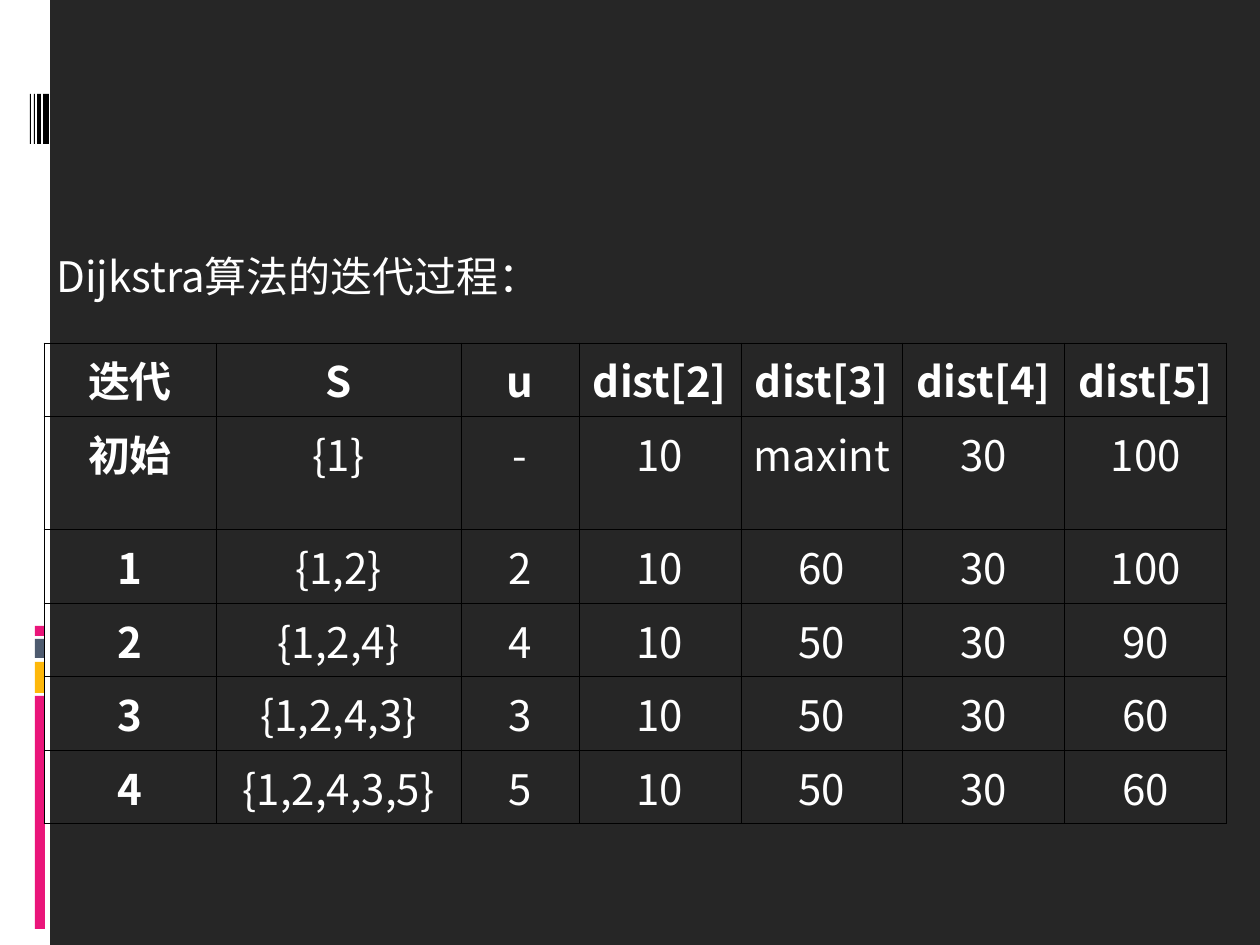
from typing import NamedTuple

from lxml.etree import SubElement
from pptx import Presentation
from pptx.dml.color import RGBColor
from pptx.enum.shapes import MSO_SHAPE as Shape
from pptx.enum.text import MSO_AUTO_SIZE as AutoSize, PP_ALIGN as Align
from pptx.oxml import parse_xml
from pptx.oxml.ns import nsdecls, qn
from pptx.util import Emu, Pt

FONT = "Noto Sans CJK SC"
BLACK = RGBColor(0x00, 0x00, 0x00)
WHITE = RGBColor(0xFF, 0xFF, 0xFF)
DARK = RGBColor(0x26, 0x26, 0x26)
PINK = RGBColor(0xEA, 0x15, 0x7A)
AMBER = RGBColor(0xFE, 0xB8, 0x0A)
SLATE = RGBColor(0x4E, 0x5B, 0x6F)


class Bar(NamedTuple):
    x: int
    y: int
    w: int
    h: int
    color: RGBColor


BARS = [
    Bar(0, 0, 50, 945, WHITE),
    # Coloured stack
    Bar(35, 696, 10, 233, PINK),
    Bar(35, 662, 10, 31, AMBER),
    Bar(35, 639, 10, 19, SLATE),
    Bar(35, 626, 10, 10, PINK),
    # Barcode
    *(Bar(x, 94, w, 50, BLACK) for x, w in [(43, 6), (37, 4), (34, 1), (30, 1)]),
]

COL_WIDTHS = [172, 245, 118] + [162] * 4
ROW_HEIGHTS = [68, 113] + [72] * 4
ROWS = [
    ["迭代", "S", "u", "dist[2]", "dist[3]", "dist[4]", "dist[5]"],
    ["初始", "{1}", "-", "10", "maxint", "30", "100"],
    ["1", "{1,2}", "2", "10", "60", "30", "100"],
    ["2", "{1,2,4}", "4", "10", "50", "30", "90"],
    ["3", "{1,2,4,3}", "3", "10", "50", "30", "60"],
    ["4", "{1,2,4,3,5}", "5", "10", "50", "30", "60"],
]


def px(n: int) -> Emu:
    return Emu(round(n * 914400 / 126))


def write(p, text: str, align: Align, bold: bool = False) -> None:
    p.text = text
    p.alignment = align
    font = p.font
    font.name, font.size, font.bold = FONT, Pt(24), bold
    font.color.rgb = WHITE
    # East Asian typeface
    SubElement(p._p.pPr.find(qn("a:defRPr")), qn("a:ea"), typeface=FONT)


def add_bar(shapes, bar: Bar) -> None:
    s = shapes.add_shape(Shape.RECTANGLE, px(bar.x), px(bar.y), px(bar.w), px(bar.h))
    s.shadow.inherit = False
    s.fill.solid()
    s.fill.fore_color.rgb = bar.color
    s.line.fill.background()


def add_borders(cell) -> None:
    tc_pr = cell._tc.get_or_add_tcPr()
    for i, side in enumerate(("lnL", "lnR", "lnT", "lnB")):
        tc_pr.insert(i, parse_xml(
            f'<a:{side} {nsdecls("a")} w="{Pt(0.45)}"><a:solidFill>'
            f'<a:srgbClr val="{BLACK}"/></a:solidFill></a:{side}>'))


def add_iterations(shapes, x: int, y: int) -> None:
    table = shapes.add_table(len(ROWS), len(COL_WIDTHS), px(x), px(y),
                             px(sum(COL_WIDTHS)), px(sum(ROW_HEIGHTS))).table
    table.first_row = table.horz_banding = False
    for column, width in zip(table.columns, COL_WIDTHS):
        column.width = px(width)
    for r, (values, height) in enumerate(zip(ROWS, ROW_HEIGHTS)):
        table.rows[r].height = px(height)
        for c, value in enumerate(values):
            cell = table.cell(r, c)
            cell.fill.background()
            add_borders(cell)
            write(cell.text_frame.paragraphs[0], value, Align.CENTER,
                  bold=r == 0 or c == 0)


def add_heading(shapes, text: str, x: int, y: int, w: int, h: int) -> None:
    tf = shapes.add_textbox(px(x), px(y), px(w), px(h)).text_frame
    tf.word_wrap = True
    tf.auto_size = AutoSize.SHAPE_TO_FIT_TEXT
    write(tf.paragraphs[0], text, Align.LEFT)


def main() -> None:
    prs = Presentation()
    prs.slide_width, prs.slide_height = px(1260), px(945)
    slide = prs.slides.add_slide(prs.slide_layouts[6])
    slide.background.fill.solid()
    slide.background.fill.fore_color.rgb = DARK

    # Side decoration
    for bar in BARS:
        add_bar(slide.shapes, bar)

    # Iteration table and its heading
    add_iterations(slide.shapes, 44, 343)
    add_heading(slide.shapes, "Dijkstra算法的迭代过程：", 44, 244, 1180, 63)

    prs.save("out.pptx")


if __name__ == "__main__":
    main()
